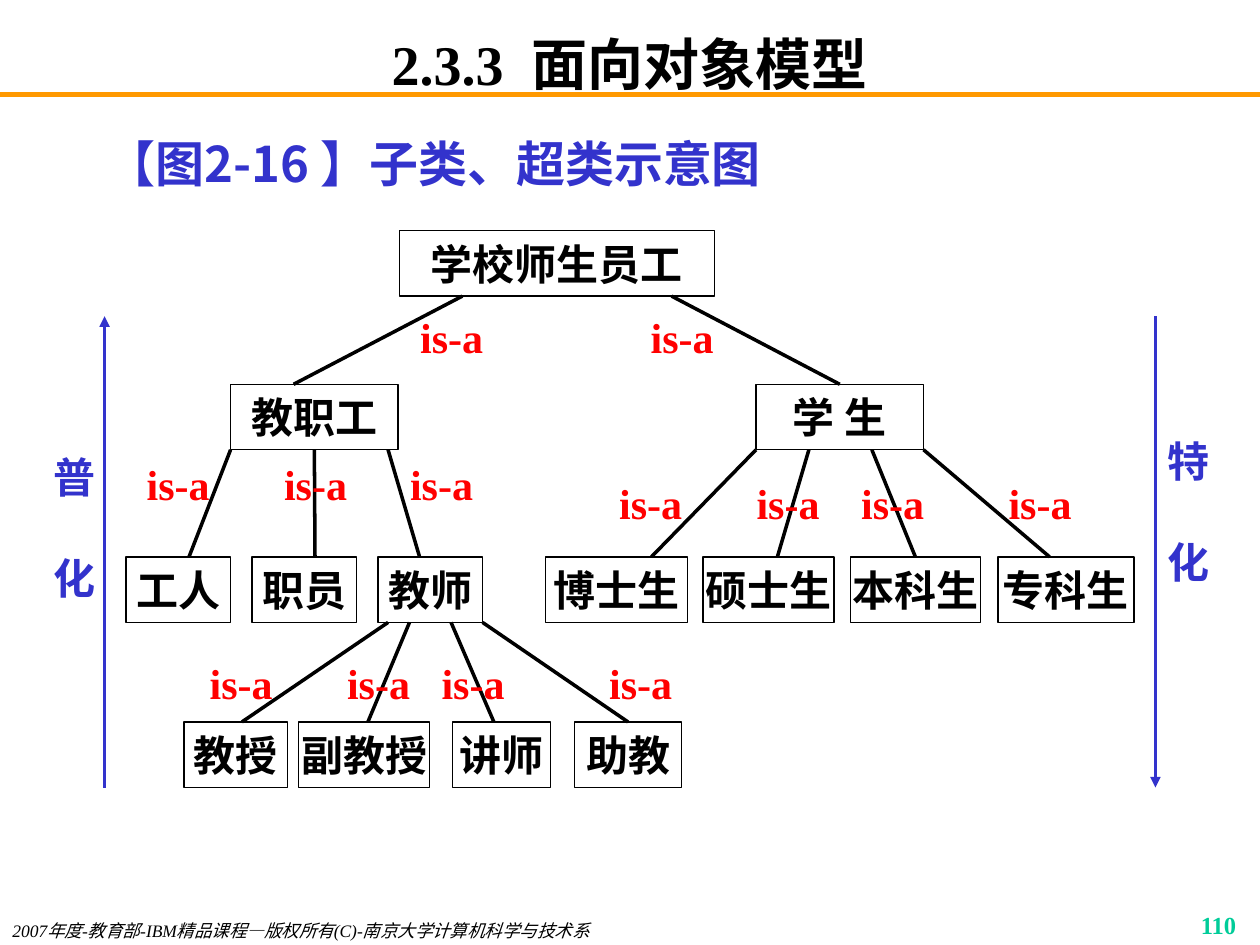
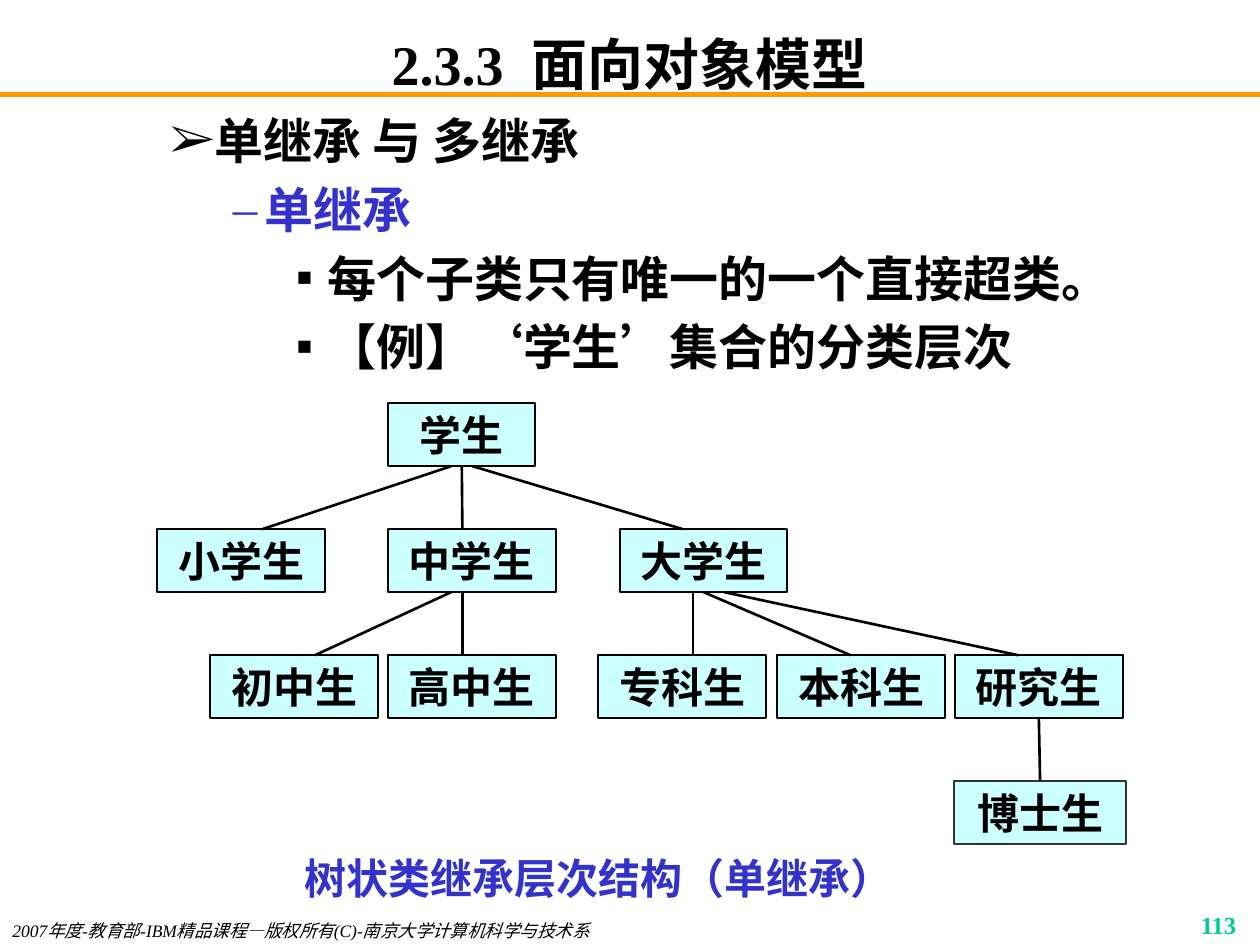
from collections import namedtuple

from lxml.etree import SubElement
from pptx import Presentation
from pptx.dml.color import RGBColor
from pptx.enum.shapes import MSO_CONNECTOR as Connector, MSO_SHAPE as Preset
from pptx.enum.text import MSO_ANCHOR as Anchor, PP_ALIGN as Align
from pptx.oxml.ns import qn
from pptx.util import Inches, Pt

COLORS = {
    "black": "000000", "white": "FFFFFF", "rule": "FF9900", "blue": "3333CC",
    "red": "FF0000", "page": "00CC99", "cyan": "CCFFFF", "gray": "333333",
}
SERIF = "Times New Roman"
SANS = "Noto Sans CJK SC"
TITLE = ("2.3.3", " ", "面向对象模型")
FOOTER = "2007年度-教育部-IBM精品课程—版权所有(C)-南京大学计算机科学与技术系"
BULLETS = {1: ("➢", 0.81, 0.31), 2: ("–", 1.25, 0.25), 3: ("▪", 1.75, 0.25)}
SNAP = 0.02  # a line this close to the middle of a side is joined to it

Box = namedtuple("Box", "left top width height")
TreeStyle = namedtuple("TreeStyle", "fill border font line")

# Row: top, height, [(name, left, width)]; link: parent, child, x start, x end
STAFF_ROWS = [
    (0, 0.52, [("学校师生员工", 2.17, 2.5)]),
    (1.22, 0.52, [("教职工", 0.83, 1.33), ("学 生", 5, 1.33)]),
    (2.59, 0.52, [("工人", 0, 0.83), ("职员", 1, 0.83), ("教师", 2, 0.83),
                  ("博士生", 3.33, 1.13), ("硕士生", 4.58, 1.04),
                  ("本科生", 5.75, 1.03), ("专科生", 6.92, 1.08)]),
    (3.9, 0.52, [("教授", 0.46, 0.82), ("副教授", 1.37, 1.04),
                 ("讲师", 2.59, 0.78), ("助教", 3.56, 0.85)]),
]
STAFF_LINKS = [
    ("学校师生员工", "教职工", 2.67, 1.33), ("学校师生员工", "学 生", 4.33, 5.67),
    ("教职工", "工人", 0.83, 0.5), ("教职工", "职员", 1.5, 1.5),
    ("教职工", "教师", 2.08, 2.33),
    ("学 生", "博士生", 5, 4.17), ("学 生", "硕士生", 5.42, 5.17),
    ("学 生", "本科生", 5.92, 6.25), ("学 生", "专科生", 6.33, 7.33),
    ("教师", "教授", 2.08, 0.92), ("教师", "副教授", 2.25, 1.92),
    ("教师", "讲师", 2.58, 2.92), ("教师", "助教", 2.83, 4),
]
IS_A_ROWS = [  # top, lefts
    (0.67, [2.25, 4.08]), (1.84, [0.08, 1.17, 2.17]),
    (1.99, [3.83, 4.92, 5.75, 6.92]), (3.42, [0.58, 1.67, 2.42, 3.75]),
]
PUPIL_ROWS = [
    (0, 0.5, [("学生", 1.83, 1.17)]),
    (1, 0.5, [("小学生", 0, 1.33), ("中学生", 1.83, 1.33), ("大学生", 3.67, 1.33)]),
    (2, 0.5, [("初中生", 0.42, 1.33), ("高中生", 1.83, 1.33), ("专科生", 3.5, 1.33),
              ("本科生", 4.92, 1.33), ("研究生", 6.33, 1.33)]),
    (3, 0.5, [("博士生", 6.32, 1.37)]),
]
PUPIL_LINKS = [
    ("学生", "小学生", 2.33, 0.83), ("学生", "中学生", 2.42, 2.42),
    ("学生", "大学生", 2.5, 4.17),
    ("中学生", "高中生", 2.42, 2.42), ("中学生", "初中生", 2.33, 1.25),
    ("大学生", "专科生", 4.25, 4.25), ("大学生", "本科生", 4.33, 5.5),
    ("大学生", "研究生", 4.5, 6.83), ("研究生", "博士生", 7, 7),
]


def rgb(name):
    return RGBColor.from_string(COLORS[name])


def inches(box):
    return [Inches(value) for value in box]


def add_run(paragraph, text, size, color="black", font=SERIF, bold=True, italic=False):
    run = paragraph.add_run()
    run.text = text
    run.font.size, run.font.name = Pt(size), font
    run.font.bold, run.font.italic = bold, italic
    run.font.color.rgb = rgb(color)
    SubElement(run._r.get_or_add_rPr(), qn("a:ea"), typeface=SANS)
    return run


def set_frame(shape, anchor=Anchor.TOP, side=0.1, end=0.05):
    frame = shape.text_frame
    frame.word_wrap, frame.vertical_anchor = True, anchor
    frame.margin_left = frame.margin_right = Inches(side)
    frame.margin_top = frame.margin_bottom = Inches(end)
    return frame


def add_text(slide, box, text, size, color="black", align=Align.LEFT,
             anchor=Anchor.TOP, side=0.1, end=0.05, **run_style):
    frame = set_frame(slide.shapes.add_textbox(*inches(box)), anchor, side, end)
    paragraph = frame.paragraphs[0]
    paragraph.alignment = align
    if text:
        add_run(paragraph, text, size, color, **run_style)
    return frame


def add_line(slide, start, finish, color, width):
    line = slide.shapes.add_connector(Connector.STRAIGHT, *inches(start + finish))
    line.line.color.rgb, line.line.width = rgb(color), Pt(width)
    SubElement(line._element.spPr, qn("a:effectLst"))
    return line


def add_base(presentation, page):
    """Add a slide with its rule, title, footer and page number."""
    slide = presentation.slides.add_slide(presentation.slide_layouts[6])
    add_line(slide, (0, 0.75), (10, 0.75), "rule", 3)
    title = add_text(slide, Box(0.75, 0.25, 8.5, 0.5), "", 32, align=Align.CENTER,
                     anchor=Anchor.MIDDLE, end=0).paragraphs[0]
    number, gap, name = [add_run(title, part, 32) for part in TITLE]
    gap._r.get_or_add_rPr().set("spc", "800")
    add_text(slide, Box(0, 7.25, 5.5, 0.25), FOOTER, 10, bold=False, italic=True)
    add_text(slide, Box(7.83, 7.17, 2.08, 0.25), page, 14, "page", Align.RIGHT)
    return slide


def add_node(slide, box, name, style):
    node = slide.shapes.add_shape(Preset.RECTANGLE, *inches(box))
    node.shadow.inherit = False
    node.fill.solid()
    node.fill.fore_color.rgb = rgb(style.fill)
    node.line.color.rgb, node.line.width = rgb("black"), Pt(style.border)
    paragraph = set_frame(node, Anchor.MIDDLE, 0, 0).paragraphs[0]
    paragraph.alignment = Align.CENTER
    add_run(paragraph, name, 24, font=style.font)
    return node


def add_tree(slide, left, top, rows, links, style):
    """Draw the class boxes and the lines between them; return boxes by name."""
    boxes, nodes = {}, {}
    for row_top, height, entries in rows:
        for name, offset, width in entries:
            boxes[name] = Box(left + offset, top + row_top, width, height)
            nodes[name] = add_node(slide, boxes[name], name, style)
    for parent, child, start, finish in links:
        upper, lower = boxes[parent], boxes[child]
        start, finish = left + start, left + finish
        line = add_line(slide, (start, upper.top + upper.height),
                        (finish, lower.top), "black", style.line)
        if abs(upper.left + upper.width / 2 - start) <= SNAP:
            line.begin_connect(nodes[parent], 2)
        if abs(lower.left + lower.width / 2 - finish) <= SNAP:
            line.end_connect(nodes[child], 0)
    return nodes


def add_is_a_labels(slide, left, top):
    for row_top, offsets in IS_A_ROWS:
        for offset in offsets:
            add_text(slide, Box(left + offset, top + row_top, 0.67, 0.34), "is-a", 24,
                     "red", Align.CENTER, Anchor.MIDDLE, side=0, end=0)


def add_direction(slide, x, start, finish, label, box):
    """Draw a vertical arrow with its two characters set one above the other."""
    arrow = add_line(slide, (x, start), (x, finish), "blue", 2)
    SubElement(arrow.line._get_or_add_ln(), qn("a:tailEnd"), type="triangle")
    first, second = label
    frame = add_text(slide, box, first, 24, "blue", Align.JUSTIFY, Anchor.MIDDLE)
    paragraph = frame.add_paragraph()
    paragraph.alignment, paragraph.space_before = Align.JUSTIFY, Pt(29)
    add_run(paragraph, second, 24, "blue")


def add_outline(slide, box, items):
    """Write bulleted items, each a level, a colour and (text, font) parts."""
    frame = set_frame(slide.shapes.add_textbox(*inches(box)))
    for index, (level, color, parts) in enumerate(items):
        paragraph = frame.add_paragraph() if index else frame.paragraphs[0]
        mark, margin, hanging = BULLETS[level]
        properties = paragraph._p.get_or_add_pPr()
        properties.set("marL", str(Inches(margin)))
        properties.set("indent", str(-Inches(hanging)))
        SubElement(properties, qn("a:buFont"), typeface=SERIF)
        SubElement(properties, qn("a:buChar"), char=mark)
        paragraph.level = level
        if index:
            paragraph.space_before = Pt(5.6)
        for text, font in parts:
            add_run(paragraph, text, 28, color, font)


def add_subclass_slide(presentation):
    slide = add_base(presentation, "110")
    caption = add_text(slide, Box(0.75, 0.92, 8.5, 0.75), "【图2-16 】子类、超类示意图",
                       28, "blue", font=SANS)
    caption.paragraphs[0].line_spacing = 1.2
    add_direction(slide, 0.83, 6.25, 2.51, "普化", Box(0.33, 3.12, 0.5, 2.13))
    add_direction(slide, 9.17, 2.51, 6.25, "特化", Box(9.17, 3.03, 0.5, 2.05))
    style = TreeStyle("white", 0.75, SERIF, 2)
    add_tree(slide, 1, 1.83, STAFF_ROWS, STAFF_LINKS, style)
    add_is_a_labels(slide, 1, 1.83)


def add_inheritance_slide(presentation):
    slide = add_base(presentation, "113")
    add_outline(slide, Box(0.75, 0.83, 8.5, 6.08), [
        (1, "black", [("单继承 与 多继承", SANS)]),
        (2, "blue", [("单继承", SANS)]),
        (3, "black", [("每个子类只有唯一的一个直接超类。", SANS)]),
        (3, "black", [("【例】", SANS), ("‘", SERIF), ("学生", SANS), ("’", SERIF),
                      ("集合的分类层次", SANS)]),
    ])
    add_text(slide, Box(1.75, 6.77, 6, 0.4), "树状类继承层次结构（单继承）", 24, "blue",
             Align.CENTER, side=0, end=0, font=SANS)
    style = TreeStyle("cyan", 1.13, SANS, 1.5)
    nodes = add_tree(slide, 1.25, 3.2, PUPIL_ROWS, PUPIL_LINKS, style)
    nodes["博士生"].line.color.rgb = rgb("gray")


def main():
    presentation = Presentation()
    presentation.slide_width, presentation.slide_height = Inches(10), Inches(7.5)
    add_subclass_slide(presentation)
    add_inheritance_slide(presentation)
    presentation.save("out.pptx")


if __name__ == "__main__":
    main()
